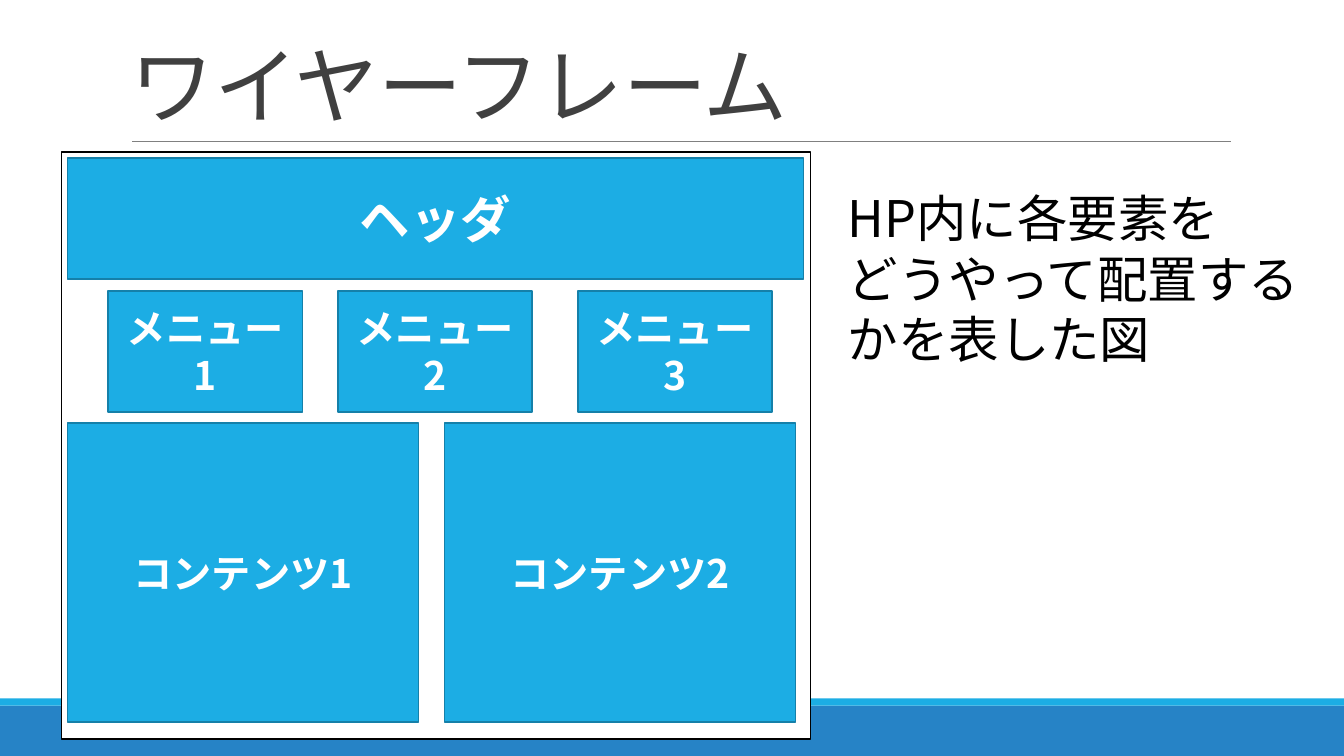
from dataclasses import dataclass

from lxml.etree import SubElement
from pptx import Presentation
from pptx.dml.color import RGBColor
from pptx.enum.shapes import MSO_CONNECTOR, MSO_SHAPE
from pptx.enum.text import MSO_ANCHOR, PP_ALIGN
from pptx.oxml.ns import qn
from pptx.util import Emu, Pt

FONT = "Noto Sans CJK JP"
WHITE = RGBColor(0xFF, 0xFF, 0xFF)
BLACK = RGBColor(0x00, 0x00, 0x00)
TITLE_GRAY = RGBColor(0x40, 0x40, 0x40)
RULE_GRAY = RGBColor(0x80, 0x80, 0x80)
SKY = RGBColor(0x1C, 0xAD, 0xE4)
SKY_EDGE = RGBColor(0x15, 0x80, 0xA9)
FOOTER_BLUE = RGBColor(0x26, 0x83, 0xC6)

SLIDE_WIDTH, SLIDE_HEIGHT = 1333, 750
MENU_TOP, CONTENT_TOP = 289, 420


def px(length: int) -> Emu:
    """Convert px, at 100 to the inch, into EMU."""
    return Emu(length * 9144)


@dataclass(frozen=True)
class Box:
    left: int
    top: int
    width: int
    height: int

    def emu(self) -> tuple[Emu, Emu, Emu, Emu]:
        return px(self.left), px(self.top), px(self.width), px(self.height)


@dataclass(frozen=True)
class Block:
    label: str
    box: Box
    size: int = 28


BLOCKS = [
    Block("ヘッダ", Box(67, 157, 730, 120), size=36),
    *(Block(f"メニュー{number}", Box(left, MENU_TOP, 193, 120))
      for number, left in enumerate((107, 335, 573), start=1)),
    *(Block(f"コンテンツ{number}", Box(left, CONTENT_TOP, 348, 296))
      for number, left in enumerate((67, 441), start=1)),
]


def write_text(frame, text: str, *, size: int, color: RGBColor, bold: bool = False,
               align=PP_ALIGN.LEFT, anchor=MSO_ANCHOR.TOP, wrap: bool = True,
               line_spacing: float | None = None, tracking: int = 0) -> None:
    """Fill a text frame, one paragraph a line; tracking is in 1/100 pt."""
    frame.word_wrap = wrap
    frame.vertical_anchor = anchor
    for index, line in enumerate(text.split("\n")):
        paragraph = frame.add_paragraph() if index else frame.paragraphs[0]
        paragraph.alignment = align
        paragraph.line_spacing = line_spacing
        run = paragraph.add_run()
        run.text = line
        run.font.name = FONT
        run.font.size = Pt(size)
        run.font.bold = bold
        run.font.color.rgb = color
        properties = run.font._element
        SubElement(properties, qn("a:ea")).set("typeface", FONT)
        if tracking:
            properties.set("spc", str(tracking))


def add_rectangle(slide, box: Box, fill: RGBColor, edge: RGBColor | None = None):
    rectangle = slide.shapes.add_shape(MSO_SHAPE.RECTANGLE, *box.emu())
    rectangle.shadow.inherit = False
    rectangle.fill.solid()
    rectangle.fill.fore_color.rgb = fill
    if edge is None:
        rectangle.line.fill.background()
    else:
        rectangle.line.color.rgb = edge
        rectangle.line.width = Pt(1.25)
    return rectangle


def add_title_rule(slide) -> None:
    rule = slide.shapes.add_connector(
        MSO_CONNECTOR.STRAIGHT, px(131), px(140), px(1221), px(140))
    rule.line.color.rgb = RULE_GRAY
    rule.line.width = Pt(0.5)
    SubElement(rule._element.spPr, qn("a:effectLst"))


def add_block(slide, block: Block) -> None:
    rectangle = add_rectangle(slide, block.box, SKY, SKY_EDGE)
    write_text(rectangle.text_frame, block.label, size=block.size, color=WHITE,
               bold=True, align=PP_ALIGN.CENTER, anchor=MSO_ANCHOR.MIDDLE)


def main() -> None:
    presentation = Presentation()
    presentation.slide_width = px(SLIDE_WIDTH)
    presentation.slide_height = px(SLIDE_HEIGHT)
    slide = presentation.slides.add_slide(presentation.slide_layouts[6])

    add_rectangle(slide, Box(0, 700, SLIDE_WIDTH, 50), FOOTER_BLUE)
    add_rectangle(slide, Box(0, 693, SLIDE_WIDTH, 7), SKY)
    add_title_rule(slide)

    title = slide.shapes.add_textbox(*Box(120, 31, 1100, 108).emu())
    write_text(title.text_frame, "ワイヤーフレーム", size=60, color=TITLE_GRAY,
               anchor=MSO_ANCHOR.BOTTOM, line_spacing=0.85, tracking=-50)

    add_rectangle(slide, Box(61, 151, 743, 582), WHITE, BLACK)
    for block in BLOCKS:
        add_block(slide, block)

    explanation = slide.shapes.add_textbox(*Box(831, 181, 475, 192).emu())
    write_text(explanation.text_frame,
               "HP内に各要素を\nどうやって配置する\nかを表した図",
               size=36, color=BLACK, wrap=False)

    presentation.save("out.pptx")


if __name__ == "__main__":
    main()
